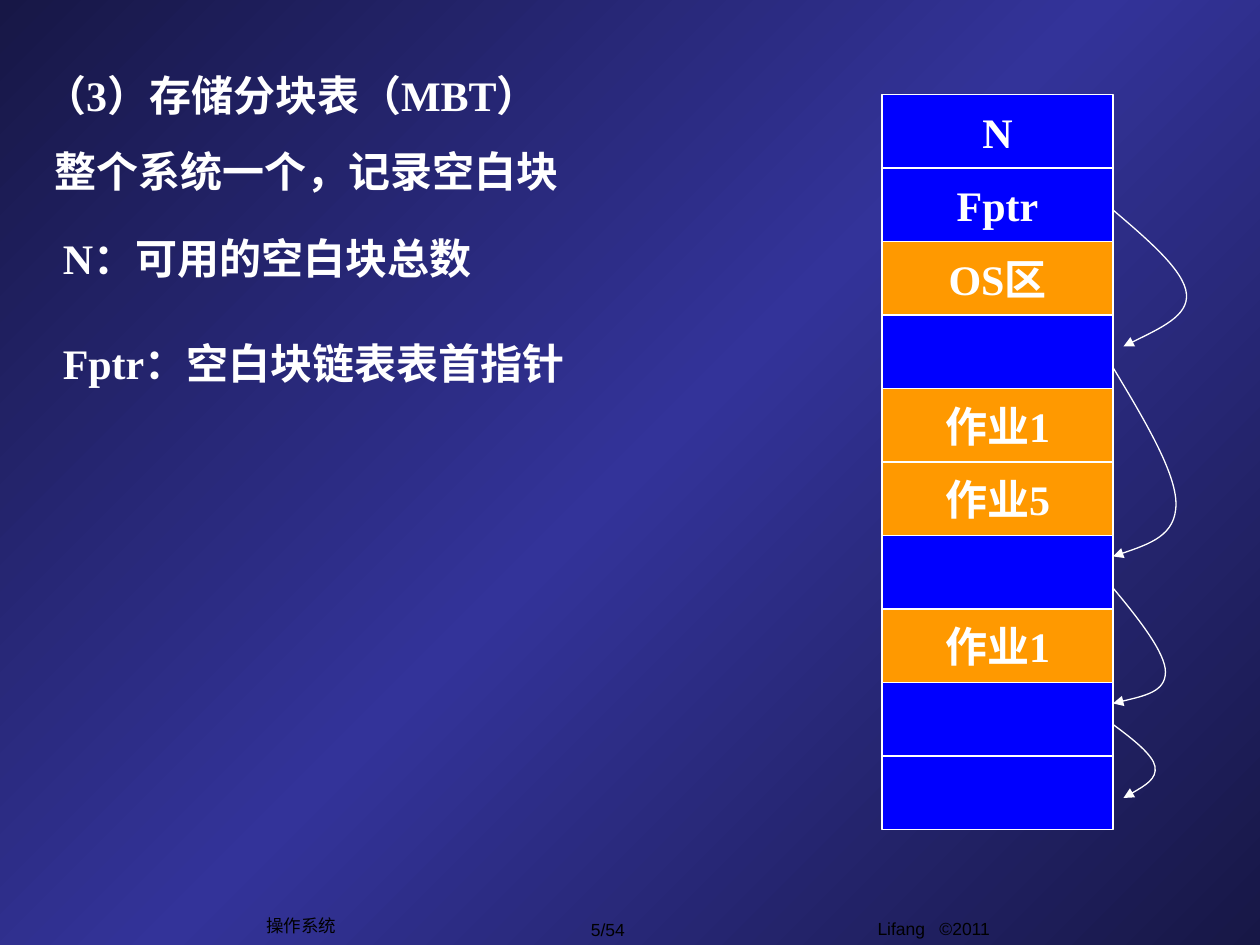
from copy import deepcopy
from dataclasses import dataclass

from lxml import etree
from pptx import Presentation
from pptx.dml.color import RGBColor
from pptx.enum import shapes, text
from pptx.oxml import ns
from pptx.util import Emu, Pt

EMU_PER_PX = 7620
WHITE, BLACK, BLUE, ORANGE = "FFFFFF", "000000", "0000FF", "FF9900"
NAVY, INDIGO = "171746", "333399"
SERIF, SANS = "Times New Roman", "Arial"
LEFT, CENTER = text.PP_ALIGN.LEFT, text.PP_ALIGN.CENTER
TOP, MIDDLE = text.MSO_ANCHOR.TOP, text.MSO_ANCHOR.MIDDLE
BLOCK_LEFT, BLOCK_TOP, BLOCK_WIDTH, BLOCK_HEIGHT = 840, 90, 220, 70


@dataclass
class Style:
    size: int
    font: str
    color: str
    bold: bool
    align: text.PP_ALIGN = LEFT
    anchor: text.MSO_ANCHOR = TOP


@dataclass
class Label:
    wording: str
    left: int
    top: int
    width: int
    height: int
    style: Style


@dataclass
class Block:
    wording: str
    color: str


@dataclass
class Link:
    start: tuple[int, int]
    controls: list[tuple[int, int]]


BODY = Style(24, SERIF, WHITE, True)
TITLE = Style(24, SERIF, WHITE, True, LEFT, MIDDLE)
CELL = Style(24, SERIF, WHITE, True, CENTER, MIDDLE)
FOOTER = Style(10, SANS, BLACK, False, CENTER, MIDDLE)
COPYRIGHT = Style(10, SANS, BLACK, False)

HEADING = Label("（3）存储分块表（MBT）", 30, 60, 1020, 60, TITLE)
AUTHOR = Label("Lifang\t©2011", 824, 868, 250, 32, COPYRIGHT)
LABELS = [
    Label("5/54", 518, 869, 122, 32, FOOTER),
    Label("操作系统", 227, 865, 120, 32, FOOTER),
    Label("整个系统一个，记录空白块", 40, 133, 758, 60, BODY),
    Label("N：可用的空白块总数", 48, 216, 437, 60, BODY),
    Label("Fptr：空白块链表表首指针", 48, 316, 530, 60, BODY),
]
BLOCKS = [
    Block("N", BLUE),
    Block("Fptr", BLUE),
    Block("OS区", ORANGE),
    Block("", BLUE),
    Block("作业1", ORANGE),
    Block("作业5", ORANGE),
    Block("", BLUE),
    Block("作业1", ORANGE),
    Block("", BLUE),
    Block("", BLUE),
]
LINKS = [
    Link((1060, 200), [(1094, 229), (1128, 258), (1130, 280), (1132, 301), (1100, 315), (1070, 330)]),
    Link((1060, 350), [(1090, 400), (1120, 450), (1120, 480), (1120, 510), (1090, 520), (1060, 530)]),
    Link((1060, 560), [(1085, 590), (1110, 622), (1110, 640), (1110, 659), (1085, 664), (1060, 670)]),
    Link((1060, 690), [(1079, 704), (1098, 719), (1100, 730), (1102, 742), (1086, 751), (1070, 760)]),
]


def px(length: int) -> Emu:
    return Emu(length * EMU_PER_PX)


def rgb(color: str) -> RGBColor:
    return RGBColor.from_string(color)


def write(shape, wording: str, style: Style) -> None:
    frame = shape.text_frame
    frame.word_wrap = True
    frame.auto_size = text.MSO_AUTO_SIZE.NONE
    frame.vertical_anchor = style.anchor
    paragraph = frame.paragraphs[0]
    paragraph.alignment = style.align
    run = paragraph.add_run()
    run.text = wording
    run.font.size = Pt(style.size)
    run.font.name = style.font
    run.font.bold = style.bold
    run.font.color.rgb = rgb(style.color)


def outline(shape) -> None:
    shape.shadow.inherit = False
    shape.line.color.rgb = rgb(WHITE)
    shape.line.width = Pt(0.75)


def paint_background(slide) -> None:
    fill = slide.background.fill
    fill.gradient()
    fill.gradient_angle = 135
    stops = slide.element.xpath(".//p:bg//a:gsLst")[0]
    stops.append(deepcopy(stops[0]))
    for stop, position, color in zip(fill.gradient_stops, (0, 0.5, 1), (NAVY, INDIGO, NAVY)):
        stop.position = position
        stop.color.rgb = rgb(color)


def place_title(slide, label: Label) -> None:
    title = slide.shapes.title
    title.left, title.top = px(label.left), px(label.top)
    title.width, title.height = px(label.width), px(label.height)
    write(title, label.wording, label.style)


def add_label(slide, label: Label):
    shape = slide.shapes.add_textbox(px(label.left), px(label.top), px(label.width), px(label.height))
    write(shape, label.wording, label.style)
    return shape


def add_author(slide, label: Label) -> None:
    shape = add_label(slide, label)
    properties = shape.text_frame.paragraphs[0]._p.get_or_add_pPr()
    tabs = etree.SubElement(properties, ns.qn("a:tabLst"))
    etree.SubElement(tabs, ns.qn("a:tab"), pos=str(px(59)), algn="l")


def add_block(slide, row: int, block: Block) -> None:
    shape = slide.shapes.add_shape(
        shapes.MSO_SHAPE.RECTANGLE,
        px(BLOCK_LEFT), px(BLOCK_TOP + row * BLOCK_HEIGHT), px(BLOCK_WIDTH), px(BLOCK_HEIGHT),
    )
    outline(shape)
    shape.fill.solid()
    shape.fill.fore_color.rgb = rgb(block.color)
    if block.wording:
        write(shape, block.wording, CELL)


def add_link(slide, link: Link) -> None:
    builder = slide.shapes.build_freeform(*link.start, scale=EMU_PER_PX)
    builder.add_line_segments(link.controls, close=False)
    shape = builder.convert_to_shape()
    outline(shape)
    shape.fill.background()
    segments = shape._element.xpath(".//a:lnTo")
    for first in range(0, len(segments), 3):
        curve = etree.Element(ns.qn("a:cubicBezTo"))
        segments[first].addprevious(curve)
        for segment in segments[first:first + 3]:
            curve.append(segment[0])
            segment.getparent().remove(segment)
    line = shape._element.xpath("./p:spPr/a:ln")[0]
    etree.SubElement(line, ns.qn("a:tailEnd"), type="triangle")


def main() -> None:
    presentation = Presentation()
    presentation.slide_width, presentation.slide_height = px(1200), px(900)
    slide = presentation.slides.add_slide(presentation.slide_layouts[5])
    paint_background(slide)
    place_title(slide, HEADING)
    add_author(slide, AUTHOR)
    for label in LABELS:
        add_label(slide, label)
    for row, block in enumerate(BLOCKS):
        add_block(slide, row, block)
    for link in LINKS:
        add_link(slide, link)
    presentation.save("out.pptx")


if __name__ == "__main__":
    main()
